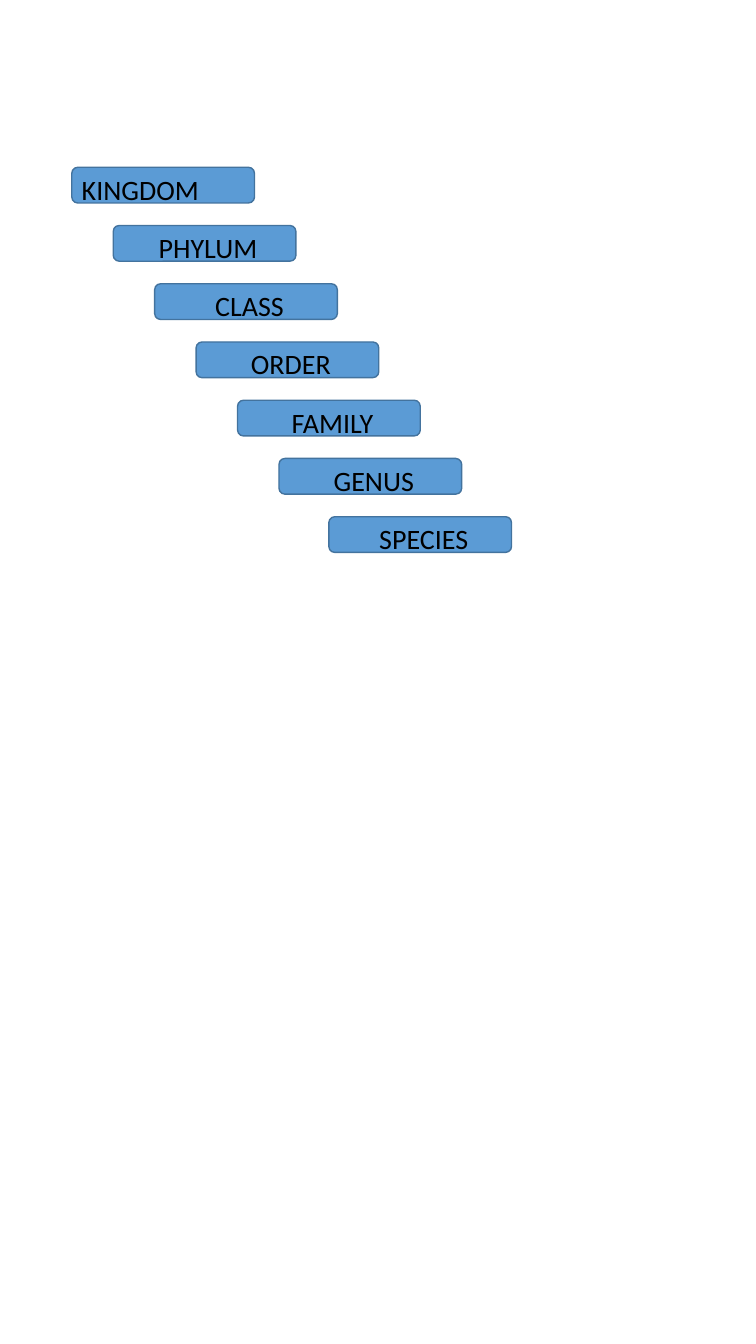
from pptx import Presentation
from pptx import util as u
from pptx.dml.color import RGBColor
from pptx.enum import shapes, text

RANKS = ["KINGDOM", "PHYLUM", "CLASS", "ORDER", "FAMILY", "GENUS", "SPECIES"]
LEFT_ALIGNED = {"KINGDOM"}
EXTRA_INDENT = {"SPECIES": 6}

PAGE_SIZE = (540, 960)
FIRST_LEFT, FIRST_TOP = 51.3, 119.5
STEP_RIGHT, STEP_DOWN = 29.6, 41.6
BAR_SIZE = (130.5, 25.5)
LABEL_SIZE = (135.5, 31.5)

BLUE = RGBColor(0x5B, 0x9B, 0xD5)
DARK_BLUE = RGBColor(0x43, 0x73, 0x9E)
BLACK = RGBColor(0, 0, 0)


def points(*lengths):
    """Turn numbers into lengths in points."""
    return [u.Pt(length) for length in lengths]


def add_bar(group, left, top):
    """Add the rounded bar behind a rank name."""
    bar = group.shapes.add_shape(shapes.MSO_SHAPE.ROUNDED_RECTANGLE,
                                 *points(left, top, *BAR_SIZE))
    bar.shadow.inherit = False
    bar.fill.solid()
    bar.fill.fore_color.rgb = BLUE
    bar.line.color.rgb = DARK_BLUE
    bar.line.width = u.Pt(1)


def add_label(group, words, left, top, *, align, size=20, font="Calibri", color=BLACK):
    """Add a rank name in a text box that grows with its text."""
    box = group.shapes.add_textbox(*points(left, top, *LABEL_SIZE))
    frame = box.text_frame
    frame.word_wrap = True
    frame.auto_size = text.MSO_AUTO_SIZE.SHAPE_TO_FIT_TEXT
    para = frame.paragraphs[0]
    para.alignment = align
    span = para.add_run()
    span.text = words
    span.font.size = u.Pt(size)
    span.font.name = font
    span.font.color.rgb = color


deck = Presentation()
deck.slide_width, deck.slide_height = points(*PAGE_SIZE)
page = deck.slides.add_slide(deck.slide_layouts[6])

for index, rank in enumerate(RANKS):
    left = FIRST_LEFT + index * STEP_RIGHT + EXTRA_INDENT.get(rank, 0)
    top = FIRST_TOP + index * STEP_DOWN
    align = text.PP_ALIGN.LEFT if rank in LEFT_ALIGNED else text.PP_ALIGN.CENTER
    group = page.shapes.add_group_shape()
    add_bar(group, left, top)
    add_label(group, rank, left, top, align=align)

deck.save("out.pptx")
